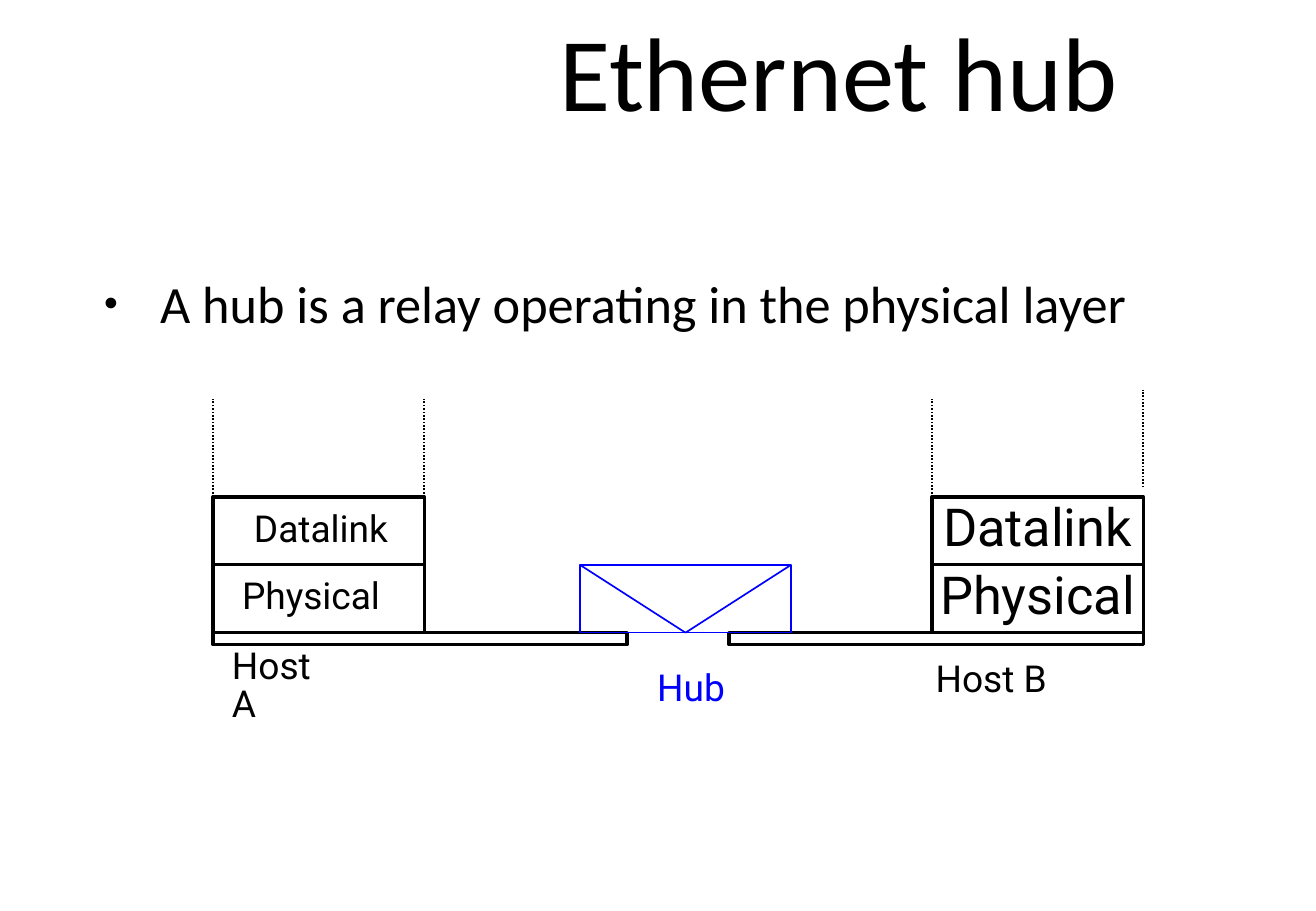
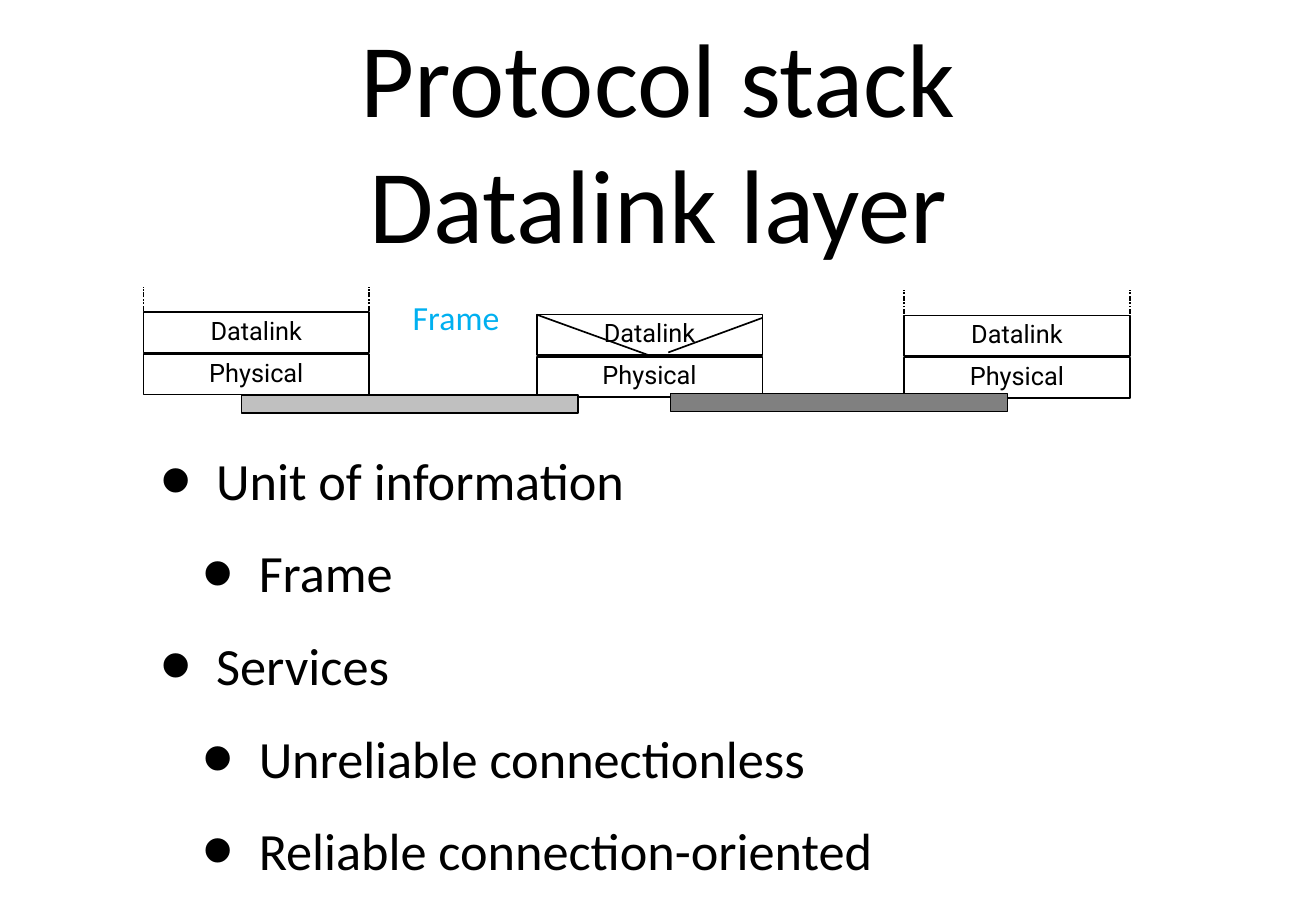
from lxml.etree import SubElement
from pptx import Presentation
from pptx.dml.color import RGBColor
from pptx.enum.shapes import MSO_CONNECTOR, MSO_SHAPE
from pptx.enum.text import MSO_ANCHOR, MSO_AUTO_SIZE, PP_ALIGN
from pptx.oxml.ns import qn
from pptx.util import Cm, Pt

BLACK = RGBColor(0x00, 0x00, 0x00)
BLUE = RGBColor(0x00, 0x00, 0xFF)
SKY = RGBColor(0x00, 0xB0, 0xF0)
SILVER = RGBColor(0xC0, 0xC0, 0xC0)
GREY = RGBColor(0x80, 0x80, 0x80)
BODY, LABEL = "Calibri", "Roboto"
LEFT, CENTER = PP_ALIGN.LEFT, PP_ALIGN.CENTER
TOP, MIDDLE = MSO_ANCHOR.TOP, MSO_ANCHOR.MIDDLE
TIGHT = 0.84


def write(frame, rows, size, font=LABEL, color=BLACK, align=CENTER,
          pitch=TIGHT, inset=0.0, anchor=MIDDLE):
    """Fill a text frame, one paragraph a row; a newline breaks the line."""
    frame.word_wrap = True
    frame.auto_size = MSO_AUTO_SIZE.NONE
    frame.vertical_anchor = anchor
    frame.margin_left = frame.margin_right = Cm(inset)
    frame.margin_top = frame.margin_bottom = Cm(inset)
    for i, row in enumerate(rows):
        para = frame.add_paragraph() if i else frame.paragraphs[0]
        para.alignment = align
        para.line_spacing = pitch
        for j, part in enumerate(row.split("\n")):
            if j:
                para.add_line_break()
            run = para.add_run()
            run.text = part
            run.font.name = font
            run.font.size = Pt(size)
            run.font.color.rgb = color


def block(slide, x, y, w, h, edge=BLACK, weight=1, fill=None):
    """Draw an outlined rectangle, hollow unless a fill is given."""
    shape = slide.shapes.add_shape(MSO_SHAPE.RECTANGLE, Cm(x), Cm(y), Cm(w), Cm(h))
    shape.shadow.inherit = False
    if fill is None:
        shape.fill.background()
    else:
        shape.fill.solid()
        shape.fill.fore_color.rgb = fill
    shape.line.color.rgb = edge
    shape.line.width = Pt(weight)
    return shape


deck = Presentation()
deck.slide_width, deck.slide_height = Cm(27.51), Cm(19.05)

# Titles
slides = []
for text, spot, pitch in (
    ("Ethernet hub", (9.3, 0, 16.46, 3.35), TIGHT),
    ("Protocol stack\nDatalink layer", (2.69, 0.51, 22.15, 4.78), 1.0),
):
    slide = deck.slides.add_slide(deck.slide_layouts[5])
    title = slide.shapes.title
    title.left, title.top, title.width, title.height = map(Cm, spot)
    write(title.text_frame, [text], 62, BODY, pitch=pitch, inset=0.1)
    slides.append(slide)
hubs, stack = slides

# Bullet lists: each row has a level, each level an indent
for slide, spot, rows, indents, size, pitch, anchor in (
    (hubs, (1.93, 5.59, 23.5, 1.68),
     [(0, "A hub is a relay operating in the physical layer")],
     (1.32,), 75, TIGHT, MIDDLE),
    (stack, (2.69, 9.27, 22.15, 9.4),
     [(0, "Unit of information"), (1, "Frame"), (0, "Services"),
      (1, "Unreliable connectionless"), (1, "Reliable connection-oriented")],
     (1.73, 2.62), 171, 1.0, TOP),
):
    frame = slide.shapes.add_textbox(*map(Cm, spot)).text_frame
    write(frame, [text for _, text in rows], 31, BODY, align=LEFT,
          pitch=pitch, inset=0.1, anchor=anchor)
    for i, (level, _) in enumerate(rows):
        para = frame.paragraphs[i]
        para.level = level
        if i:
            para.space_before = Pt(17.7)
        props = para._p.get_or_add_pPr()
        props.set("marL", str(Cm(indents[level])))
        props.set("indent", str(Cm(-1.17)))
        SubElement(props, qn("a:buSzPct")).set("val", str(size * 1000))
        SubElement(props, qn("a:buFont")).set("typeface", "Arial")
        SubElement(props, qn("a:buChar")).set("char", "•")

lines = []  # slide, x1, y1, x2, y2, colour, dash, shape joined at its bottom

# Ethernet hub: two hosts, each on its own cable
WIDE, HIGH, ROOF = 4.42, 1.42, 10.39
FLOOR = ROOF + 2 * HIGH
CABLE = 8.66
HOSTA, HOSTB = 4.45, 19.48
for x, start, size, align, insets in (
    (HOSTA, HOSTA, 22, LEFT, (0.86, 0.61)),
    (HOSTB, HOSTB + WIDE - CABLE, 31, CENTER, (0, 0)),
):
    block(hubs, start, FLOOR, CABLE, 0.25, weight=2)
    for i, name in enumerate(("Datalink", "Physical")):
        layer = block(hubs, x, ROOF + i * HIGH, WIDE, HIGH, weight=2)
        write(layer.text_frame, [name], size, align=align)
        layer.text_frame.margin_left = Cm(insets[i])

HUBX, HUBY = 12.12, ROOF + HIGH
hub = block(hubs, HUBX, HUBY, WIDE, HIGH, edge=BLUE)
for x in (HUBX, HUBX + WIDE):
    lines.append((hubs, x, HUBY, HUBX + WIDE / 2, FLOOR, BLUE, None, hub))
for x, y in ((HOSTA, ROOF), (HOSTA + WIDE, ROOF),
             (HOSTB, ROOF), (HOSTB + WIDE, ROOF - 0.2)):
    lines.append((hubs, x, y, x, y - 2.04, BLACK, "sysDot", None))

for name, x, y, w, color in (
    ("Host A", 4.85, 13.97, 2.1, BLACK),
    ("Host B", 19.56, 13.84, 2.8, BLACK),
    ("Hub", 13.74, 14.02, 1.9, BLUE),
):
    label = hubs.shapes.add_textbox(Cm(x), Cm(y), Cm(w), Cm(0.81))
    write(label.text_frame, [name], 22, color=color, align=LEFT)

# Protocol stack: three nodes, the outer two open at the top
SPAN = 4.72
for x, y, rising in ((3.0, 6.53, True), (11.22, 6.58, False), (18.9, 6.6, True)):
    for i, name in enumerate(("Datalink", "Physical")):
        layer = block(stack, x, y + i * 0.88, SPAN, 0.84)
        write(layer.text_frame, [name], 15)
    if rising:
        for edge in (x, x + SPAN):
            lines.append((stack, edge, y + 0.53, edge, y - 0.53,
                          BLACK, "sysDashDotDot", None))
for x, y, fill in ((5.05, 8.26, SILVER), (14.02, 8.23, GREY)):
    block(stack, x, y, 7.04, 0.38, fill=fill)
lines.append((stack, 11.22, 6.58, 13.54, 7.42, BLACK, None, None))
lines.append((stack, 13.97, 7.37, 15.93, 6.65, BLACK, None, None))

unit = stack.shapes.add_textbox(Cm(8.13), Cm(6.07), Cm(2.81), Cm(1.12))
write(unit.text_frame, ["Frame"], 20, BODY, SKY, pitch=1.0, inset=0.13, anchor=TOP)

# All straight lines
for slide, x1, y1, x2, y2, color, dash, target in lines:
    link = slide.shapes.add_connector(
        MSO_CONNECTOR.STRAIGHT, Cm(x1), Cm(y1), Cm(x2), Cm(y2))
    link.line.color.rgb = color
    link.line.width = Pt(1)
    props = link._element.spPr
    if dash:
        SubElement(props.find(qn("a:ln")), qn("a:prstDash")).set("val", dash)
    SubElement(props, qn("a:effectLst"))
    if target is not None:
        link.end_connect(target, 2)

deck.save("out.pptx")
